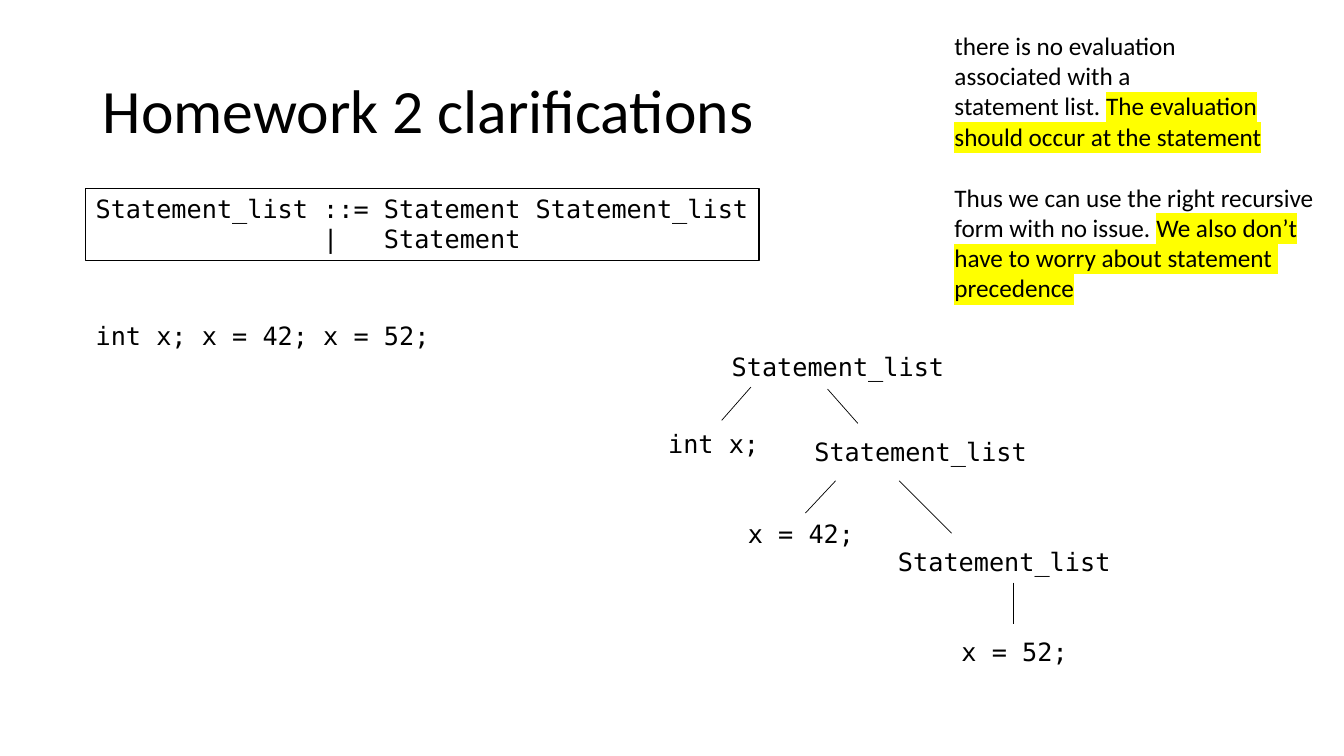
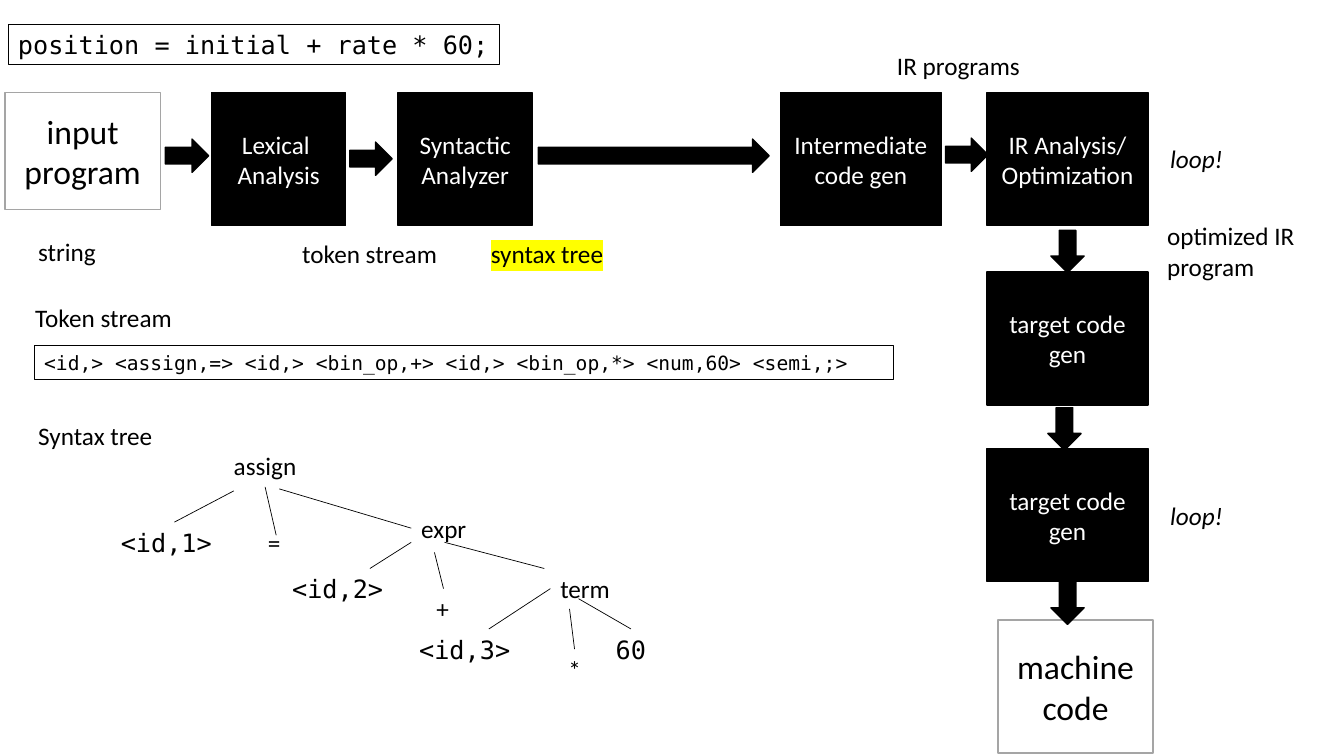
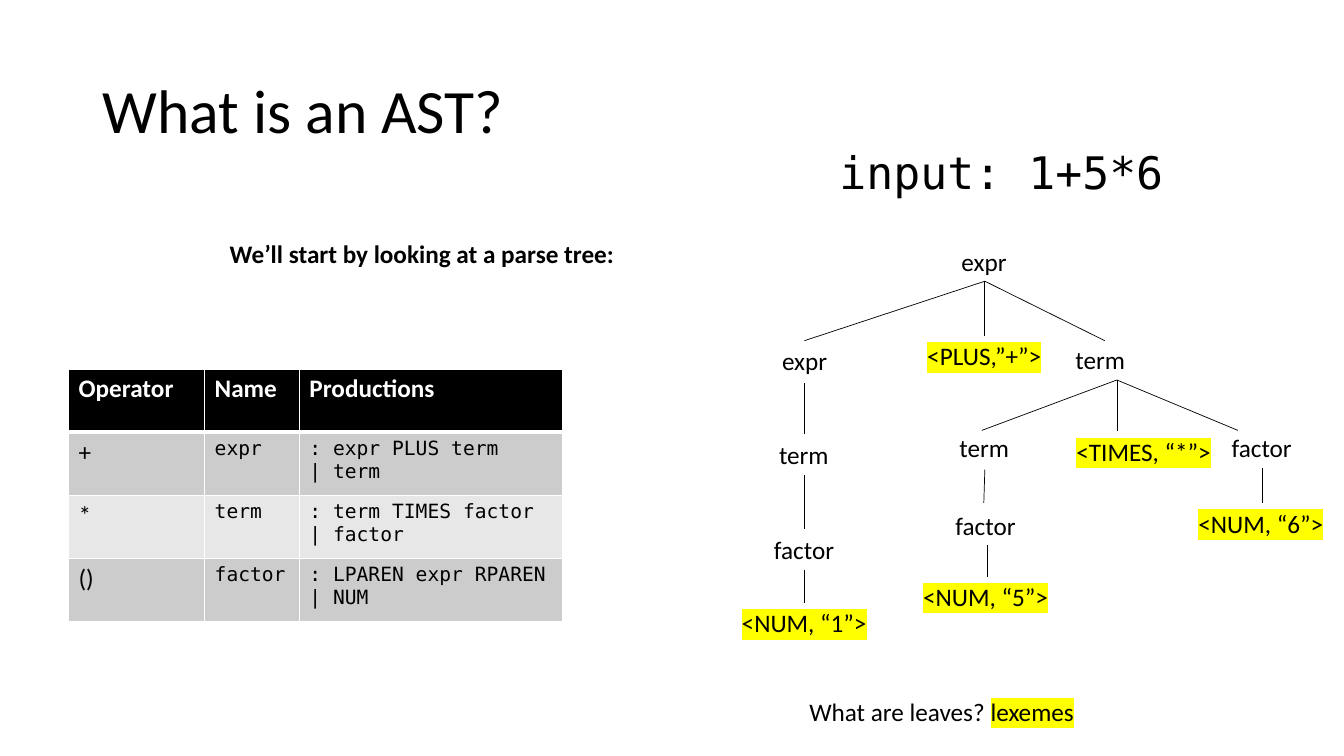
from copy import deepcopy
from dataclasses import dataclass
from functools import partial

from lxml import etree
from pptx import Presentation
from pptx.dml.color import RGBColor
from pptx.enum.shapes import MSO_CONNECTOR, MSO_SHAPE
from pptx.enum.text import MSO_ANCHOR, MSO_AUTO_SIZE, PP_ALIGN
from pptx.oxml.ns import qn
from pptx.util import Inches, Pt

BLACK = RGBColor(0x00, 0x00, 0x00)
WHITE = RGBColor(0xFF, 0xFF, 0xFF)
YELLOW = RGBColor(0xFF, 0xFF, 0x00)
GREY = RGBColor(0xA5, 0xA5, 0xA5)
BAND_DARK = RGBColor(0xCC, 0xCC, 0xCC)
BAND_LIGHT = RGBColor(0xE7, 0xE7, 0xE7)

SANS = "Calibri"
MONO = "DejaVu Sans Mono"

RECTANGLE = MSO_SHAPE.RECTANGLE
RIGHT_ARROW = MSO_SHAPE.RIGHT_ARROW
STRAIGHT = MSO_CONNECTOR.STRAIGHT
MIDDLE = MSO_ANCHOR.MIDDLE
CENTER = PP_ALIGN.CENTER
LEFT = PP_ALIGN.LEFT
GROW = MSO_AUTO_SIZE.SHAPE_TO_FIT_TEXT
FIXED = MSO_AUTO_SIZE.NONE

COLUMNS, ROWS = 133.33, 75
LINE_ROWS = 4
TITLE_ONLY, BLANK = 5, 6
MONO_ADVANCE = 0.602


@dataclass
class Run:
    """A stretch of text with one look."""
    text: str
    size: float = 18
    font: str = SANS
    color: RGBColor = BLACK
    bold: bool = False
    italic: bool = False
    highlight: RGBColor = None


code = partial(Run, font=MONO)
marked = partial(Run, highlight=YELLOW)


def style_run(target, run):
    """Apply the look of a Run to a text run of the slide."""
    font = target.font
    font.size, font.name = Pt(run.size), run.font
    font.bold, font.italic = run.bold, run.italic
    font.color.rgb = run.color
    if run.highlight is not None:
        properties = target._r.get_or_add_rPr()
        highlight = etree.Element(qn("a:highlight"))
        etree.SubElement(highlight, qn("a:srgbClr"), val=str(run.highlight))
        properties.find(qn("a:solidFill")).addnext(highlight)


def write(frame, paragraphs, align=LEFT):
    """Fill a text frame with paragraphs, each a list of Runs."""
    for index, runs in enumerate(paragraphs):
        paragraph = frame.add_paragraph() if index else frame.paragraphs[0]
        paragraph.alignment = align
        for run in runs:
            for number, line in enumerate(run.text.split("\n")):
                if number:
                    paragraph.add_line_break()
                    paragraph._p[-1].append(deepcopy(target._r.rPr))
                target = paragraph.add_run()
                target.text = line
                style_run(target, run)


def set_borders(cell, widths):
    """Give a table cell white borders, widths in points by edge tag."""
    properties = cell._tc.get_or_add_tcPr()
    for edge, width in widths.items():
        border = etree.SubElement(properties, qn("a:" + edge), w=str(Pt(width)))
        fill = etree.SubElement(border, qn("a:solidFill"))
        etree.SubElement(fill, qn("a:srgbClr"), val=str(WHITE))


class Deck:
    """Holds the presentation, its grid and the current slide."""

    def __init__(self):
        self.presentation = Presentation()
        self.presentation.slide_width = Inches(13.33)
        self.presentation.slide_height = Inches(7.5)
        self.slide = None

    def across(self, columns):
        """Turn grid columns into a length."""
        return round(self.presentation.slide_width * columns / COLUMNS)

    def down(self, rows):
        """Turn grid rows into a length."""
        return round(self.presentation.slide_height * rows / ROWS)

    def place(self, left, top, width, height):
        """Turn a grid area into four lengths."""
        return (self.across(left), self.down(top),
                self.across(width), self.down(height))

    def new_slide(self, title=None):
        """Start a slide, with the shared title style if it has a title."""
        layout = TITLE_ONLY if title else BLANK
        self.slide = self.presentation.slides.add_slide(
            self.presentation.slide_layouts[layout])
        if title:
            heading = self.slide.shapes.title
            (heading.left, heading.top,
             heading.width, heading.height) = self.place(9.2, 4, 115, 14.5)
            frame = heading.text_frame
            frame.word_wrap, frame.auto_size = True, FIXED
            frame.vertical_anchor = MIDDLE
            write(frame, [[Run(title, size=44)]])
            frame.paragraphs[0].line_spacing = 0.9

    def text(self, left, top, width, *paragraphs,
             height=LINE_ROWS, wrap=False, framed=False):
        """Add a text box, framed by a thin line if asked."""
        box = self.slide.shapes.add_textbox(
            *self.place(left, top, width, height))
        frame = box.text_frame
        write(frame, paragraphs)
        frame.word_wrap, frame.auto_size = wrap, GROW
        if framed:
            box.line.color.rgb = BLACK
            box.line.width = Pt(0.75)
        return frame

    def labels(self, make_run, items):
        """Add one-line labels of one look: left, top, width, wording."""
        for left, top, width, wording in items:
            self.text(left, top, width, [make_run(wording)])

    def preset(self, kind, area, fill, line):
        """Add a filled preset shape with a one-point outline."""
        shape = self.slide.shapes.add_shape(kind, *self.place(*area))
        shape.shadow.inherit = False
        shape.fill.solid()
        shape.fill.fore_color.rgb = fill
        shape.line.color.rgb = line
        shape.line.width = Pt(1)
        return shape

    def block(self, area, run, fill=BLACK, line=BLACK):
        """Add a rectangle with centred text."""
        frame = self.preset(RECTANGLE, area, fill, line).text_frame
        frame.word_wrap, frame.vertical_anchor = True, MIDDLE
        write(frame, [[run]], CENTER)

    def arrow(self, left, top, width=4.2, rotation=0):
        """Add a black block arrow."""
        shape = self.preset(RIGHT_ARROW, (left, top, width, 3.3), BLACK, BLACK)
        shape.rotation = rotation

    def branches(self, start, *ends):
        """Draw thin tree lines from one point to each end."""
        for end in ends:
            line = self.slide.shapes.add_connector(
                STRAIGHT, self.across(start[0]), self.down(start[1]),
                self.across(end[0]), self.down(end[1]))
            line.line.color.rgb = BLACK
            line.line.width = Pt(0.5)
            etree.SubElement(line._element.spPr, qn("a:effectLst"))

    def table(self, left, top, widths, row_height, rows):
        """Add a banded table whose cells are Runs, header row first."""
        table = self.slide.shapes.add_table(
            len(rows), len(widths),
            *self.place(left, top, sum(widths), row_height * len(rows))).table
        for column, width in zip(table.columns, widths):
            column.width = self.across(width)
        for index, runs in enumerate(rows):
            table.rows[index].height = self.down(row_height)
            band = BAND_DARK if index % 2 else BAND_LIGHT
            for column, run in enumerate(runs):
                cell = table.cell(index, column)
                set_borders(cell, {"lnL": 1, "lnR": 1,
                                   "lnT": 3 if index == 1 else 1,
                                   "lnB": 3 if index == 0 else 1})
                cell.fill.solid()
                cell.fill.fore_color.rgb = band if index else BLACK
                write(cell.text_frame, [[run]])


def homework_slide(deck):
    """Grammar of statement lists and its right recursive tree."""
    deck.new_slide("Homework 2 clarifications")
    grammar = deck.text(
        8.5, 18.7, 66.8,
        [code("Statement_list ::= Statement Statement_list")],
        [code("|\tStatement")], height=7.1, framed=True)
    alternative = grammar.paragraphs[1]._p.get_or_add_pPr()
    advance = 18 * MONO_ADVANCE
    alternative.set("marL", str(Pt(19 * advance)))
    alternative.set("indent", str(Pt(-4 * advance)))

    deck.labels(code, [
        (8.5, 31.3, 35.2, "int x; x = 42; x = 52;"),
        (71.6, 34.4, 24.6, "Statement_list "),
        (65.3, 42, 12.6, "int x; "),
        (79.8, 42.8, 24.6, "Statement_list "),
        (73.2, 50.9, 14.1, "x = 42; "),
        (88.1, 53.7, 24.6, "Statement_list "),
        (94.4, 62.6, 12.6, "x = 52;"),
    ])
    deck.branches((74.5, 38.4), (71.6, 41.7))
    deck.branches((82.1, 38.6), (85.1, 42))
    deck.branches((82.9, 47.7), (79.9, 50.9))
    deck.branches((89.2, 47.7), (94.4, 52.9))
    deck.branches((100.5, 57.8), (100.5, 61.9))

    remarks = deck.text(
        93.7, 2.5, 38.1,
        [Run("there is no evaluation")],
        [Run("associated with a ")],
        [Run("statement list. "),
         marked("The evaluation\nshould occur at the statement")],
        [Run("Thus we can use the right recursive\nform with no issue. "),
         marked("We also don’t\nhave to worry about statement ")],
        [marked("precedence")], height=28.3)
    remarks.paragraphs[3].space_before = Pt(22)


def compiler_slide(deck):
    """Compiler stages, with the token stream and tree of one statement."""
    deck.new_slide()
    stage_top, stage_height = 9.2, 13.2
    back_left, back_width = 97.9, 16
    endpoint = partial(Run, size=24)
    stage = partial(Run, color=WHITE)

    deck.block((0.5, stage_top, 15.4, 11.6), endpoint("input program"),
               WHITE, GREY)
    deck.block((99, 61.5, 15.4, stage_height), endpoint("machine code"),
               WHITE, GREY)
    for left, width, name in [
            (21, 13.3, "Lexical \nAnalysis"),
            (39.5, 13.3, "Syntactic Analyzer"),
            (77.4, back_width, "Intermediate code gen"),
            (back_left, back_width, "IR Analysis/ Optimization")]:
        deck.block((left, stage_top, width, stage_height), stage(name))
    for top in (27, 44.5):
        deck.block((back_left, top, back_width, stage_height),
                   stage("target code gen"))

    for left, top, width in [(16.4, 13.8, 4.3), (34.7, 14.1, 4.2),
                             (53.4, 13.8, 22.9), (93.8, 13.7, 4.2)]:
        deck.arrow(left, top, width)
    for left, top in [(103.8, 23.3), (103.5, 40.9), (103.8, 58.2)]:
        deck.arrow(left, top, rotation=90)

    deck.labels(partial(Run, italic=True), [
        (115.1, 13.7, 7.4, "loop!"), (115.1, 49.1, 7.4, "loop!")])
    deck.labels(Run, [
        (2.8, 23, 7.8, "string"),
        (29, 23.2, 15.5, "token stream"),
        (88, 4.5, 14.3, "IR programs"),
        (2.5, 29.5, 15.7, "Token stream"),
        (2.8, 41.2, 13.5, "Syntax tree"),
        (22.2, 44.2, 8.3, "assign"),
        (40.8, 50.4, 6.5, "expr"),
        (54.6, 56.4, 7, "term"),
        (25.6, 51.8, 3.3, "="),
        (42.3, 58.4, 3.3, "+"),
        (55.4, 64.4, 3.3, "*"),
    ])
    deck.labels(marked, [(47.7, 23.2, 13.3, "syntax tree")])
    deck.text(114.8, 21.4, 15.4, [Run("optimized IR \nprogram")], height=7.1)
    deck.labels(code, [
        (11, 51.8, 12.6, "<id,1> "),
        (28, 56.4, 12.6, "<id,2> "),
        (40.6, 62.4, 12.6, "<id,3> "),
        (60.1, 62.4, 5, "60"),
    ])
    deck.text(0.8, 2.4, 48.8, [code("position = initial + rate * 60;")],
              framed=True)
    deck.text(3.4, 34.3, 85.2, [code(
        "<id,> <assign,=> <id,> <bin_op,+> <id,> <bin_op,*> <num,60> <semi,;>",
        size=14)], height=3.4, wrap=True, framed=True)

    for start, end in [
            ((23.2, 48.7), (17.3, 51.8)), ((26.3, 48.3), (27.4, 53.1)),
            ((27.7, 48.5), (40.8, 52.4)), ((40.8, 53.8), (36.7, 56.4)),
            ((43.1, 54.8), (44, 58.4)), ((44.1, 53.8), (54, 56.4)),
            ((54.6, 58.4), (48.5, 62.4)), ((56.5, 60.4), (57, 64.4)),
            ((57.4, 59.4), (62.6, 62.4))]:
        deck.branches(start, end)


def parse_tree_slide(deck):
    """Expression grammar beside the parse tree of one input."""
    deck.new_slide("What is an AST?")
    deck.labels(partial(Run, bold=True), [
        (21.8, 23.2, 40.5, "We’ll start by looking at a parse tree:")])
    deck.text(82.3, 13.9, 34.4, [code("input: 1+5*6", size=32)], height=6.4)

    header = partial(Run, color=WHITE, bold=True)
    rule = partial(code, size=14)
    grammar = [
        ("+", "expr", ": expr PLUS term\n| term"),
        ("*", "term", ": term TIMES factor\n| factor"),
        ("()", "factor", ": LPAREN expr RPAREN\n| NUM"),
    ]
    deck.table(6.8, 36.6, (13.5, 9.4, 26.1), 6.27, [
        [header(name) for name in ("Operator", "Name", "Productions")],
        *[[Run(operator), rule(name), rule(productions)]
          for operator, name, productions in grammar]])

    deck.branches((97.7, 27.9), (79.8, 33.8), (97.7, 33.3), (109.6, 33.8))
    deck.branches((110.8, 37.7), (97.4, 42.7), (110.8, 42.8), (122.8, 42.7))
    for top, bottom in [(38, 43.1), (47.1, 52.5), (56.5, 59.8)]:
        deck.branches((79.8, top), (79.8, bottom))
    deck.branches((97.7, 46.6), (97.6, 49.9))
    deck.branches((97.9, 54.1), (97.9, 57.2))
    deck.branches((125.2, 46.4), (125.2, 49.9))

    deck.labels(Run, [
        (94.4, 23.9, 6.5, "expr"),
        (76.6, 33.8, 6.5, "expr"),
        (76.3, 43.1, 7, "term"),
        (75.8, 52.5, 8, "factor"),
        (94.2, 42.4, 7, "term"),
        (93.8, 50.1, 8, "factor"),
        (121.2, 42.4, 8, "factor"),
    ])
    deck.text(105.7, 33.7, 11, [Run("term")], wrap=True)
    deck.labels(marked, [
        (91, 33.3, 13.4, "<PLUS,”+”>"),
        (105.8, 42.8, 15.5, "<TIMES, “*”>"),
        (72.6, 59.8, 14.5, "<NUM, “1”>"),
        (90.6, 57.2, 14.5, "<NUM, “5”>"),
        (117.9, 49.9, 14.5, "<NUM, “6”>"),
    ])
    deck.text(79.3, 68.6, 29.1,
              [Run("What are leaves? "), marked("lexemes"), Run(" ")])


deck = Deck()
for build_slide in (homework_slide, compiler_slide, parse_tree_slide):
    build_slide(deck)
deck.presentation.save("out.pptx")
